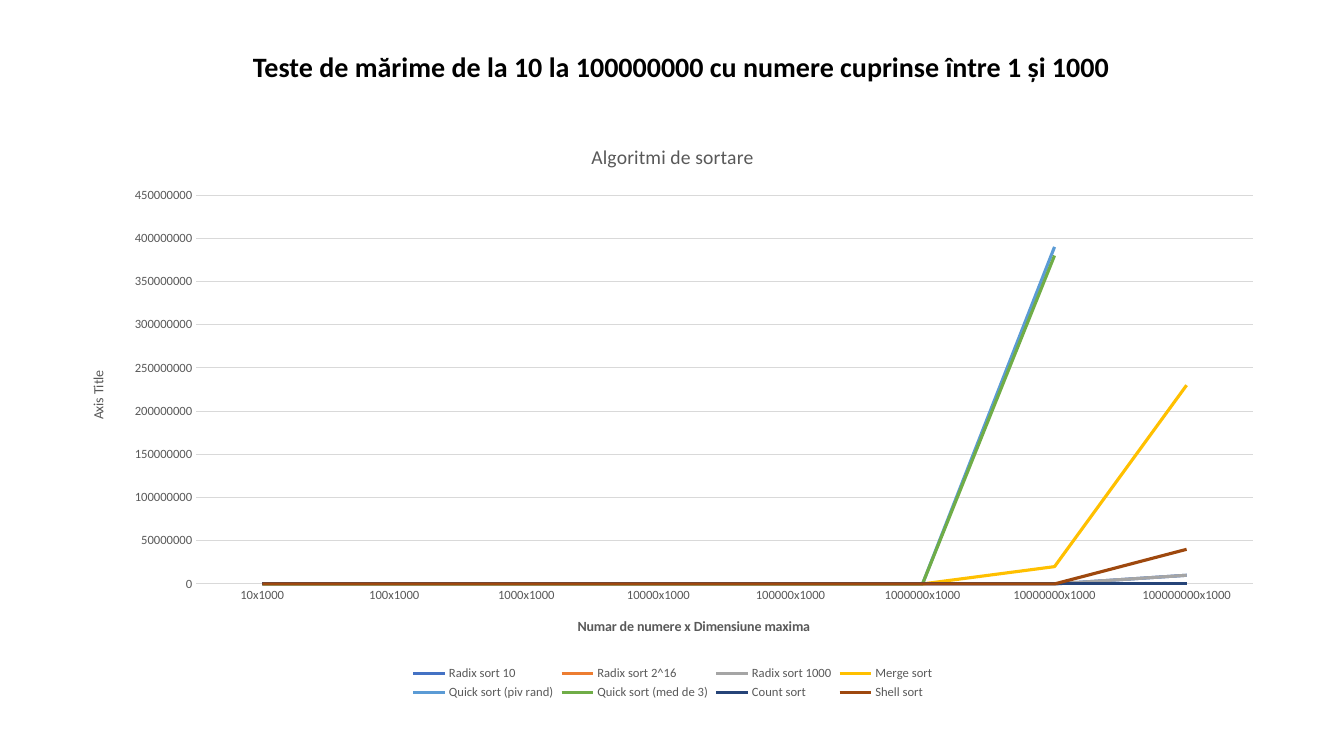
"""Builds a slide with a line chart comparing the running times of sorting algorithms."""
from pptx import Presentation
from pptx.chart.data import CategoryChartData
from pptx.dml.color import RGBColor
from pptx.enum.chart import XL_CHART_TYPE, XL_LEGEND_POSITION, XL_TICK_MARK
from pptx.enum.text import MSO_ANCHOR, PP_ALIGN
from pptx.util import Inches, Pt

LINE_CHART = XL_CHART_TYPE.LINE
LEGEND_BOTTOM = XL_LEGEND_POSITION.BOTTOM
NO_TICK = XL_TICK_MARK.NONE
CENTER = PP_ALIGN.CENTER
MIDDLE = MSO_ANCHOR.MIDDLE

BLACK = RGBColor(0x00, 0x00, 0x00)
GRAY = RGBColor(0x59, 0x59, 0x59)
LIGHT_GRAY = RGBColor(0xD9, 0xD9, 0xD9)
BLUE = RGBColor(0x44, 0x72, 0xC4)
ORANGE = RGBColor(0xED, 0x7D, 0x31)
SILVER = RGBColor(0xA5, 0xA5, 0xA5)
GOLD = RGBColor(0xFF, 0xC0, 0x00)
SKY = RGBColor(0x5B, 0x9B, 0xD5)
GREEN = RGBColor(0x70, 0xAD, 0x47)
NAVY = RGBColor(0x26, 0x44, 0x78)
BROWN = RGBColor(0x9E, 0x48, 0x0E)

MILLION = 1_000_000
SIZES = [f"{10 ** power}x1000" for power in range(1, 9)]
LAST_MILLIONS = {
    "Radix sort 10": (BLUE, [0, 10]),
    "Radix sort 2^16": (ORANGE, [0, 0]),
    "Radix sort 1000": (SILVER, [0, 10]),
    "Merge sort": (GOLD, [20, 230]),
    "Quick sort (piv rand)": (SKY, [390, None]),
    "Quick sort (med de 3)": (GREEN, [380, None]),
    "Count sort": (NAVY, [0, 0]),
    "Shell sort": (BROWN, [0, 40]),
}


class SlideBuilder:
    """Holds the font, the slide size and the current slide."""

    def __init__(self, deck, font="Calibri"):
        self.font = font
        self.width, self.height = deck.slide_width, deck.slide_height
        self.page = deck.slides.add_slide(deck.slide_layouts[6])

    def place(self, left, top, width, height):
        """Turns percentages of the slide into lengths."""
        return (int(self.width * left / 100), int(self.height * top / 100),
                int(self.width * width / 100), int(self.height * height / 100))

    def style(self, font, size, color=GRAY, bold=False):
        """Applies the slide's typeface with a size, colour and weight."""
        font.name, font.size, font.bold = self.font, Pt(size), bold
        font.color.rgb = color

    def heading(self, text, area, size):
        """Adds a centred bold heading."""
        frame = self.page.shapes.add_textbox(*self.place(*area)).text_frame
        frame.word_wrap = True
        frame.vertical_anchor = MIDDLE
        frame.text = text
        paragraph = frame.paragraphs[0]
        paragraph.alignment = CENTER
        self.style(paragraph.runs[0].font, size, BLACK, bold=True)

    def chart_title(self, frame, text, size, bold=False):
        """Fills a chart or axis title."""
        frame.text = text
        self.style(frame.paragraphs[0].runs[0].font, size, bold=bold)

    def axis(self, axis, title, size, bold=False):
        """Styles an axis and its title."""
        axis.major_tick_mark = axis.minor_tick_mark = NO_TICK
        self.style(axis.tick_labels.font, 9)
        self.chart_title(axis.axis_title.text_frame, title, size, bold)

    def line_chart(self, title, categories, series, area):
        """Adds a line chart with a bottom legend."""
        data = CategoryChartData(number_format="General")
        data.categories = categories
        for name, (_, values) in series.items():
            data.add_series(name, values)
        chart = self.page.shapes.add_chart(LINE_CHART, *self.place(*area), data).chart
        self.style(chart.font, 10, BLACK)
        self.chart_title(chart.chart_title.text_frame, title, 14)
        chart.has_legend = True
        chart.legend.position = LEGEND_BOTTOM
        chart.legend.include_in_layout = False
        self.style(chart.legend.font, 9)
        chart.plots[0].vary_by_categories = False
        for line, (color, _) in zip(chart.plots[0].series, series.values()):
            line.smooth = False
            line.format.line.color.rgb = color
            line.format.line.width = Pt(2.25)
        return chart


def main():
    """Builds and saves the deck."""
    deck = Presentation()
    deck.slide_width, deck.slide_height = Inches(13.33), Inches(7.5)
    slide = SlideBuilder(deck)

    series = {name: (color, [0] * 6 + [None if value is None else value * MILLION
                                       for value in millions])
              for name, (color, millions) in LAST_MILLIONS.items()}
    chart = slide.line_chart("Algoritmi de sortare", SIZES, series, (5.1, 16.3, 89.9, 76.8))

    sizes_axis, times_axis = chart.category_axis, chart.value_axis
    slide.axis(sizes_axis, "Numar de numere x Dimensiune maxima", 10, bold=True)
    slide.axis(times_axis, "Axis Title", 10)
    times_axis.minimum_scale, times_axis.maximum_scale = 0, 450 * MILLION
    times_axis.major_unit = 50 * MILLION
    times_axis.format.line.fill.background()
    for rule in (sizes_axis.format.line, times_axis.major_gridlines.format.line):
        rule.color.rgb = LIGHT_GRAY
        rule.width = Pt(0.75)
    body = times_axis.axis_title.element.xpath(".//a:bodyPr")[0]
    body.set("rot", "-5400000")
    body.set("vert", "horz")

    slide.heading("Teste de mărime de la 10 la 100000000 cu numere\u00a0cuprinse între 1 și 1000",
                  (7.65, 5.8, 86.1, 5.9), 20)
    deck.save("out.pptx")


main()
